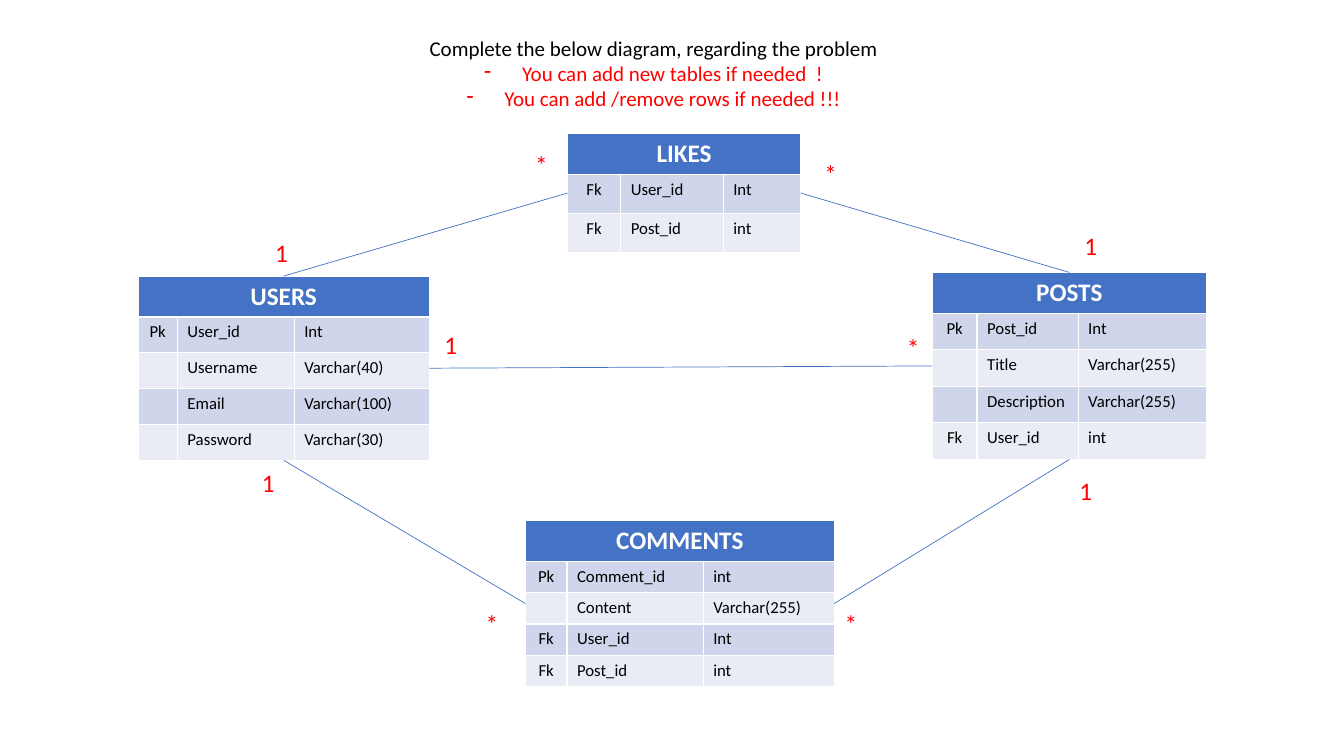
from lxml import etree
from pptx import Presentation
from pptx.dml.color import RGBColor
from pptx.enum.shapes import MSO_CONNECTOR
from pptx.enum.text import MSO_AUTO_SIZE, PP_ALIGN
from pptx.oxml.ns import qn
from pptx.util import Pt

STRAIGHT = MSO_CONNECTOR.STRAIGHT
FIT_SHAPE = MSO_AUTO_SIZE.SHAPE_TO_FIT_TEXT
LEFT, CENTER = PP_ALIGN.LEFT, PP_ALIGN.CENTER

BLACK = RGBColor(0x00, 0x00, 0x00)
WHITE = RGBColor(0xFF, 0xFF, 0xFF)
RED = RGBColor(0xFF, 0x00, 0x00)
BLUE = RGBColor(0x44, 0x72, 0xC4)
BANDS = RGBColor(0xCF, 0xD5, 0xEA), RGBColor(0xE9, 0xEB, 0xF5)

HEADER_HEIGHT = 29.2
BLANK_LAYOUT = 6

# name: left, top, column widths, body row height, rows
TABLES = {
    "USERS": (98.6, 197.2, (28.1, 83.5, 96.5), 25.6, [
        ("Pk", "User_id", "Int"),
        ("", "Username", "Varchar(40)"),
        ("", "Email", "Varchar(100)"),
        ("", "Password", "Varchar(30)"),
    ]),
    "POSTS": (666, 194.6, (31.9, 72.2, 91.6), 26.1, [
        ("Pk", "Post_id", "Int"),
        ("", "Title", "Varchar(255)"),
        ("", "Description", "Varchar(255)"),
        ("Fk", "User_id", "int"),
    ]),
    "COMMENTS": (375.3, 371.7, (29.7, 97.3, 93.6), 22.4, [
        ("Pk", "Comment_id", "int"),
        ("", "Content", "Varchar(255)"),
        ("Fk", "User_id", "Int"),
        ("Fk", "Post_id", "int"),
    ]),
    "LIKES": (405.4, 95.2, (38, 73.2, 55.3), 28.1, [
        ("Fk", "User_id", "Int"),
        ("Fk", "Post_id", "int"),
    ]),
}

# Sides of a table as fractions of its width and height
TOP, BOTTOM, LEFT_SIDE, RIGHT_SIDE = (0.5, 0), (0.5, 1), (0, 0.5), (1, 0.5)
RELATIONS = [
    ("USERS", RIGHT_SIDE, "POSTS", LEFT_SIDE),
    ("USERS", BOTTOM, "COMMENTS", LEFT_SIDE),
    ("POSTS", BOTTOM, "COMMENTS", RIGHT_SIDE),
    ("USERS", TOP, "LIKES", LEFT_SIDE),
    ("LIKES", RIGHT_SIDE, "POSTS", TOP),
]

CARDINALITIES = {
    "1": [(310.3, 231.8), (189.4, 166.3), (763.9, 336.2),
          (180, 330.5), (767.5, 161.3)],
    "*": [(640.8, 234), (375.1, 103), (596.2, 431.3),
          (339.8, 431.3), (581.8, 109.4)],
}


def write(paragraph, text, size=12, color=BLACK, bold=False, align=LEFT,
          font="Calibri"):
    paragraph.alignment = align
    if not text:
        # An empty cell keeps the small size so that its row does not grow
        end = etree.SubElement(paragraph._p, qn("a:endParaRPr"))
        end.set("sz", str(size * 100))
        return
    span = paragraph.add_run()
    span.text = text
    span.font.name = font
    span.font.size = Pt(size)
    span.font.bold = bold
    span.font.color.rgb = color


def add_dash(paragraph, color, indent):
    properties = paragraph._p.get_or_add_pPr()
    properties.set("marL", str(Pt(indent)))
    properties.set("indent", str(-Pt(indent)))
    bullet_color = etree.SubElement(properties, qn("a:buClr"))
    etree.SubElement(bullet_color, qn("a:srgbClr")).set("val", str(color))
    etree.SubElement(properties, qn("a:buFontTx"))
    etree.SubElement(properties, qn("a:buChar")).set("char", "-")


def point_on(frame, side):
    """Return the position on a table frame given by fractions of its size."""
    across, down = side
    return (int(frame.left + across * frame.width),
            int(frame.top + down * frame.height))


class Diagram:
    def __init__(self, page):
        self.shapes = page.shapes
        self.frames = {}

    def text_box(self, left, top, width, height, wrap):
        box = self.shapes.add_textbox(Pt(left), Pt(top), Pt(width), Pt(height))
        box.text_frame.word_wrap = wrap
        box.text_frame.auto_size = FIT_SHAPE
        return box.text_frame

    def instructions(self, heading, hints):
        frame = self.text_box(298, 21.6, 337.7, 62, wrap=True)
        write(frame.paragraphs[0], heading, size=15, align=CENTER)
        for hint in hints:
            paragraph = frame.add_paragraph()
            write(paragraph, hint, size=15, color=RED, align=CENTER)
            add_dash(paragraph, RED, indent=27)

    def entity(self, name, left, top, widths, row_height, rows):
        frame = self.shapes.add_table(
            len(rows) + 1, len(widths), Pt(left), Pt(top),
            Pt(sum(widths)), Pt(HEADER_HEIGHT + row_height * len(rows)))
        self.frames[name] = frame
        table = frame.table
        for column, width in zip(table.columns, widths):
            column.width = Pt(width)
        for row in table.rows:
            row.height = Pt(row_height)
        table.rows[0].height = Pt(HEADER_HEIGHT)

        header = table.cell(0, 0)
        header.merge(table.cell(0, len(widths) - 1))
        self.fill(header, BLUE)
        write(header.text_frame.paragraphs[0], name, size=18, color=WHITE,
              bold=True, align=CENTER)
        for row_index, row in enumerate(rows):
            for column_index, text in enumerate(row):
                cell = table.cell(row_index + 1, column_index)
                self.fill(cell, BANDS[row_index % 2])
                write(cell.text_frame.paragraphs[0], text,
                      align=LEFT if column_index else CENTER)

    def fill(self, cell, color):
        cell.fill.solid()
        cell.fill.fore_color.rgb = color

    def relation(self, start, start_side, end, end_side):
        line = self.shapes.add_connector(
            STRAIGHT, *point_on(self.frames[start], start_side),
            *point_on(self.frames[end], end_side))
        line.line.color.rgb = BLUE
        line.line.width = Pt(0.5)
        etree.SubElement(line._element.spPr, qn("a:effectLst"))

    def cardinality(self, symbol, left, top):
        frame = self.text_box(left, top, 23.8, 29, wrap=False)
        write(frame.paragraphs[0], symbol, size=18, color=RED)


def main():
    deck = Presentation()
    deck.slide_width, deck.slide_height = Pt(960), Pt(540)
    page = deck.slides.add_slide(deck.slide_layouts[BLANK_LAYOUT])
    diagram = Diagram(page)
    diagram.instructions(
        "Complete the below diagram, regarding the problem",
        ["You can add new tables if needed  !",
         "You can add /remove rows if needed !!!"])
    for name, layout in TABLES.items():
        diagram.entity(name, *layout)
    for relation in RELATIONS:
        diagram.relation(*relation)
    for symbol, places in CARDINALITIES.items():
        for left, top in places:
            diagram.cardinality(symbol, left, top)
    deck.save("out.pptx")


if __name__ == "__main__":
    main()
